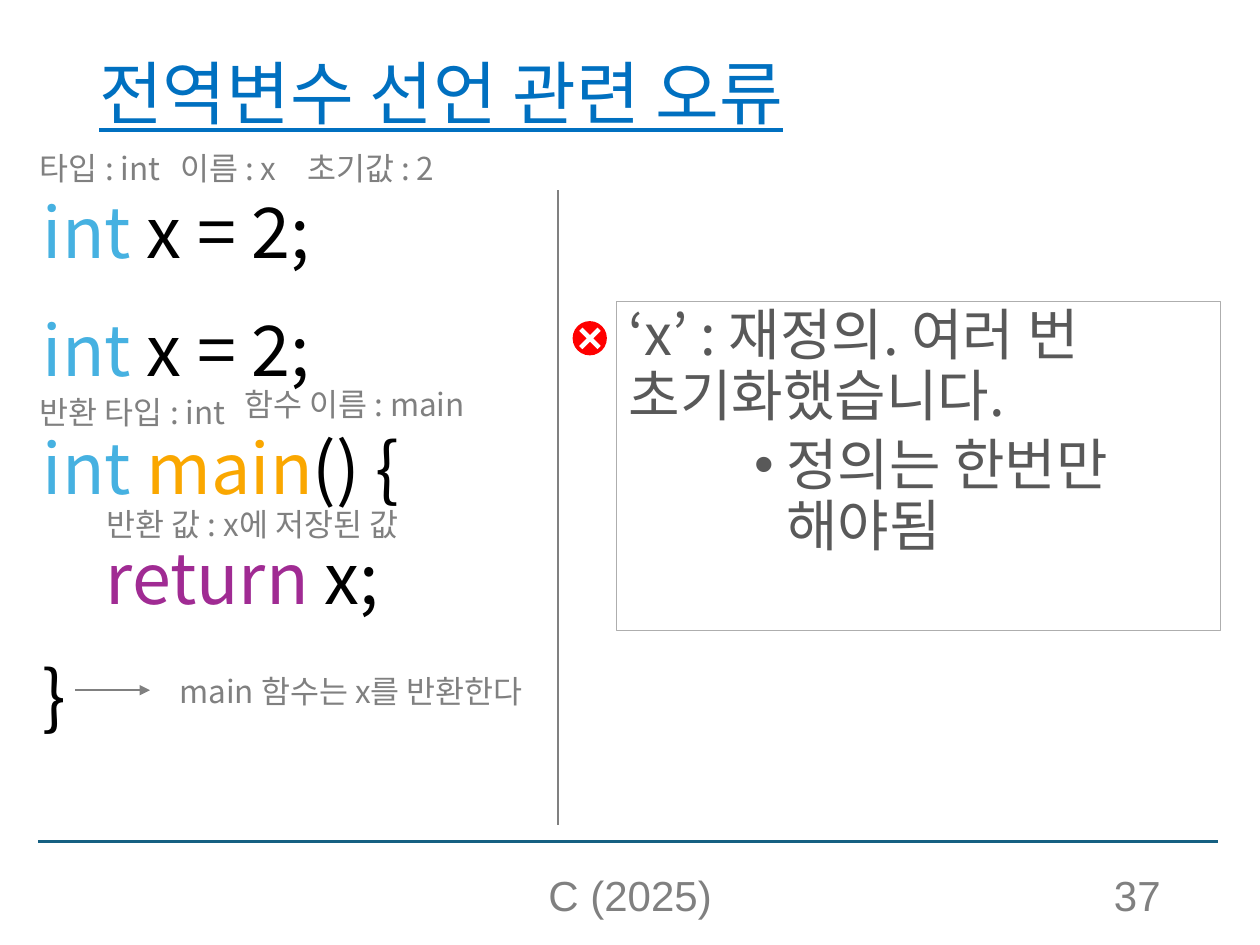
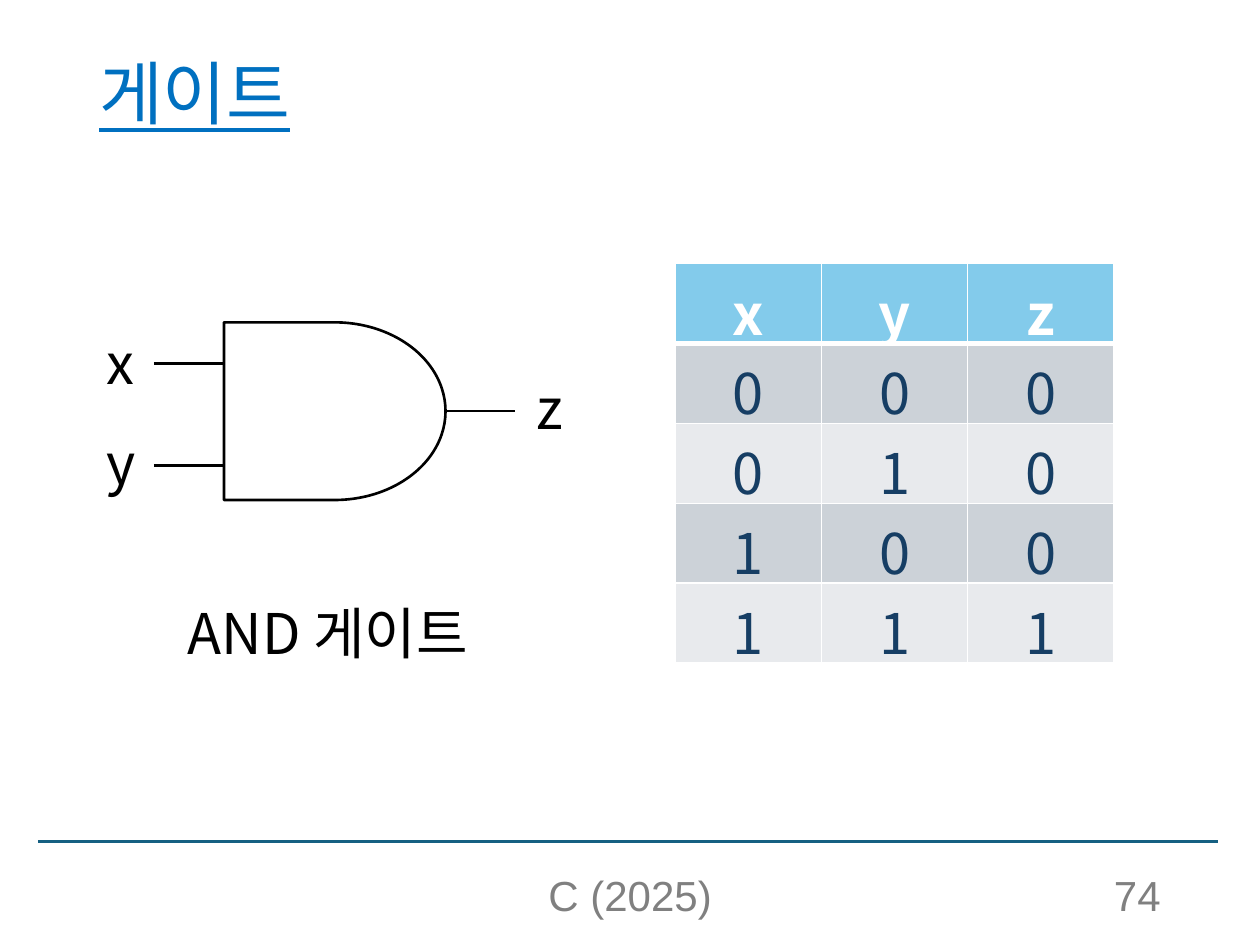
from lxml.etree import SubElement
from pptx import Presentation
from pptx.dml.color import RGBColor
from pptx.enum.shapes import MSO_CONNECTOR, MSO_SHAPE
from pptx.enum.text import MSO_ANCHOR, MSO_AUTO_SIZE, PP_ALIGN
from pptx.oxml.ns import qn
from pptx.util import Pt

BLACK = RGBColor(0x00, 0x00, 0x00)
WHITE = RGBColor(0xFF, 0xFF, 0xFF)
GRAY = RGBColor(0x80, 0x80, 0x80)
DARK = RGBColor(0x59, 0x59, 0x59)
FRAME = RGBColor(0xAE, 0xAE, 0xAE)
TITLE = RGBColor(0x00, 0x70, 0xC0)
RULE = RGBColor(0x15, 0x60, 0x82)
TYPE = RGBColor(0x46, 0xB1, 0xE1)
NAME = RGBColor(0xFA, 0xA7, 0x00)
KEY = RGBColor(0xA0, 0x2B, 0x93)
RED = RGBColor(0xFF, 0x00, 0x00)
HEAD = RGBColor(0x83, 0xCB, 0xEB)
NAVY = RGBColor(0x16, 0x3E, 0x64)
BANDS = [RGBColor(0xCC, 0xD2, 0xD8), RGBColor(0xE8, 0xEA, 0xED)]
SANS = "Noto Sans CJK KR"


def style(para, size, color=None, face=SANS):
    font = para.font
    font.size = Pt(size)
    font.name = face
    if color is not None:
        font.color.rgb = color
    SubElement(font._element, qn("a:ea"), typeface=face)


def line(slide, x1, y1, x2, y2, color):
    link = slide.shapes.add_connector(
        MSO_CONNECTOR.STRAIGHT, Pt(x1), Pt(y1), Pt(x2), Pt(y2))
    link.line.color.rgb = color
    link.line.width = Pt(1.5)
    SubElement(link._element.spPr, qn("a:effectLst"))
    return link


prs = Presentation()
prs.slide_width, prs.slide_height = Pt(720), Pt(540)
error = prs.slides.add_slide(prs.slide_layouts[1])
gate = prs.slides.add_slide(prs.slide_layouts[5])

for slide, text, width, page in [
    (error, "전역변수 선언 관련 오류", 620.6, "37"),
    (gate, "게이트", 670.3, "74"),
]:
    line(slide, 21.6, 481, 696.2, 481, RULE)
    title = slide.shapes.title
    title.left, title.top = Pt(49.5), Pt(28.8)
    title.width, title.height = Pt(width), Pt(53.3)
    frame = title.text_frame
    frame.text = text
    frame.auto_size = MSO_AUTO_SIZE.NONE
    frame.vertical_anchor = MSO_ANCHOR.MIDDLE
    para = frame.paragraphs[0]
    para.alignment = PP_ALIGN.LEFT
    para.line_spacing = 0.9
    style(para, 39.6, TITLE)
    para.font.underline = True
    for note, left, wide, align in [
        ("C (2025)", 238.3, 243.4, PP_ALIGN.CENTER),
        (page, 508.3, 162, PP_ALIGN.RIGHT),
    ]:
        box = slide.shapes.add_textbox(Pt(left), Pt(500.4), Pt(wide), Pt(28.8))
        frame = box.text_frame
        frame.word_wrap = True
        frame.vertical_anchor = MSO_ANCHOR.BOTTOM
        frame.text = note
        frame.paragraphs[0].alignment = align
        style(frame.paragraphs[0], 24, GRAY, "Arial")

code = error.placeholders[1]
code.left, code.top, code.width, code.height = Pt(17.3), Pt(94.3), Pt(288.7), Pt(324.7)
code.fill.solid()
code.fill.fore_color.rgb = WHITE
frame = code.text_frame
frame.auto_size = MSO_AUTO_SIZE.NONE
rows = [
    (0, [("int", TYPE), (" x = 2;", BLACK)]),
    (0, [("int", TYPE), (" x = 2;", BLACK)]),
    (0, [("int ", TYPE), ("main", NAME), ("() {", BLACK)]),
    (1, [("return", KEY), (" x;", BLACK)]),
    (0, [("}", BLACK)]),
]
for i, (level, parts) in enumerate(rows):
    para = frame.add_paragraph() if i else frame.paragraphs[0]
    para.level = level
    para.line_spacing = 1.2
    para.space_before = Pt((5 if level else 10) if i else 0)
    prop = para._p.get_or_add_pPr()
    prop.set("marL", str(Pt(36 * level)))
    prop.set("indent", "0")
    SubElement(prop, qn("a:buNone"))
    style(para, 40)
    for text, color in parts:
        run = para.add_run()
        run.text = text
        run.font.color.rgb = color

labels = [
    (error, 18, GRAY, 28.8, [
        ("반환 타입 : int", 15.8, 221, 131.8),
        ("함수 이름 : main", 132.5, 216.7, 149.8),
        ("반환 값 : x에 저장된 값", 54, 285.1, 204.5),
        ("main 함수는 x를 반환한다", 95.4, 380.2, 228.2),
        ("타입 : int", 15.8, 81.4, 89.3),
        ("이름 : x", 95.8, 81.4, 75.6),
        ("초기값 : 2", 168.5, 81.4, 95.8),
    ]),
    (gate, 32, BLACK, 46.1, [
        ("x", 53.6, 184.3, 29.5),
        ("y", 53.6, 241.2, 30.2),
        ("z", 299.5, 210.2, 29.5),
        ("AND 게이트", 100.1, 338.4, 192.2),
    ]),
]
for slide, size, color, high, items in labels:
    for text, left, top, wide in items:
        box = slide.shapes.add_textbox(Pt(left), Pt(top), Pt(wide), Pt(high))
        frame = box.text_frame
        frame.word_wrap = False
        frame.auto_size = MSO_AUTO_SIZE.SHAPE_TO_FIT_TEXT
        frame.text = text
        style(frame.paragraphs[0], size, color)

arrow = line(error, 43, 394.4, 85.7, 394.4, GRAY)
SubElement(arrow.line._get_or_add_ln(), qn("a:tailEnd"), type="triangle")
line(error, 318.8, 108.7, 318.8, 471.6, GRAY)

panel = error.shapes.add_shape(
    MSO_SHAPE.RECTANGLE, Pt(352.2), Pt(172.2), Pt(345.4), Pt(187.9))
panel.shadow.inherit = False
panel.fill.background()
panel.line.color.rgb = FRAME
panel.line.width = Pt(0.75)
frame = panel.text_frame
frame.word_wrap = True
frame.vertical_anchor = MSO_ANCHOR.TOP
for i, text in enumerate(["‘x’ : 재정의. 여러 번 초기화했습니다.", "정의는 한번만 해야됨"]):
    para = frame.add_paragraph() if i else frame.paragraphs[0]
    para.text = text
    para.alignment = PP_ALIGN.LEFT
    para.line_spacing = 0.9
    if i:
        para.level = 2
        para.space_before = Pt(5)
        prop = para._p.get_or_add_pPr()
        prop.set("marL", str(Pt(90)))
        prop.set("indent", str(Pt(-18)))
        SubElement(prop, qn("a:buFont"), typeface="Arial")
        SubElement(prop, qn("a:buChar"), char="•")
    style(para, 32, DARK)

badge = error.shapes.add_group_shape()
for kind, left, top, size, color in [
    (MSO_SHAPE.OVAL, 327.2, 183.5, 19.6, RED),
    (MSO_SHAPE.CROSS, 329.7, 186, 14.8, WHITE),
]:
    mark = badge.shapes.add_shape(kind, Pt(left), Pt(top), Pt(size), Pt(size))
    mark.shadow.inherit = False
    mark.fill.solid()
    mark.fill.fore_color.rgb = color
    mark.line.fill.background()
mark.adjustments[0] = 0.41
mark.rotation = 45

body = gate.shapes.add_shape(
    MSO_SHAPE.FLOWCHART_DELAY, Pt(128), Pt(184.2), Pt(126.6), Pt(101.5))
body.shadow.inherit = False
body.fill.solid()
body.fill.fore_color.rgb = WHITE
body.line.color.rgb = BLACK
body.line.width = Pt(1.5)
for left, y in [(88, 207.6), (88, 266.1), (254.4, 234.9)]:
    line(gate, left, y, left + 40, y, BLACK)

truth = ["xyz", "000", "010", "100", "111"]
grid = gate.shapes.add_table(
    len(truth), 3, Pt(386), Pt(150.7), Pt(250.5), Pt(228)).table
for col in grid.columns:
    col.width = Pt(83.5)
for r, values in enumerate(truth):
    grid.rows[r].height = Pt(45.6)
    for c, value in enumerate(values):
        cell = grid.cell(r, c)
        prop = cell._tc.get_or_add_tcPr()
        for side in "LRTB":
            thick = (r, side) in [(0, "B"), (1, "T")]
            edge = SubElement(prop, qn(f"a:ln{side}"), w=str(Pt(3 if thick else 1)))
            fill = SubElement(edge, qn("a:solidFill"))
            SubElement(fill, qn("a:srgbClr"), val=str(WHITE))
        cell.fill.solid()
        cell.fill.fore_color.rgb = BANDS[(r - 1) % 2] if r else HEAD
        cell.text = value
        para = cell.text_frame.paragraphs[0]
        para.alignment = PP_ALIGN.CENTER
        style(para, 32, NAVY if r else WHITE)
        para.font.bold = r == 0

prs.save("out.pptx")
